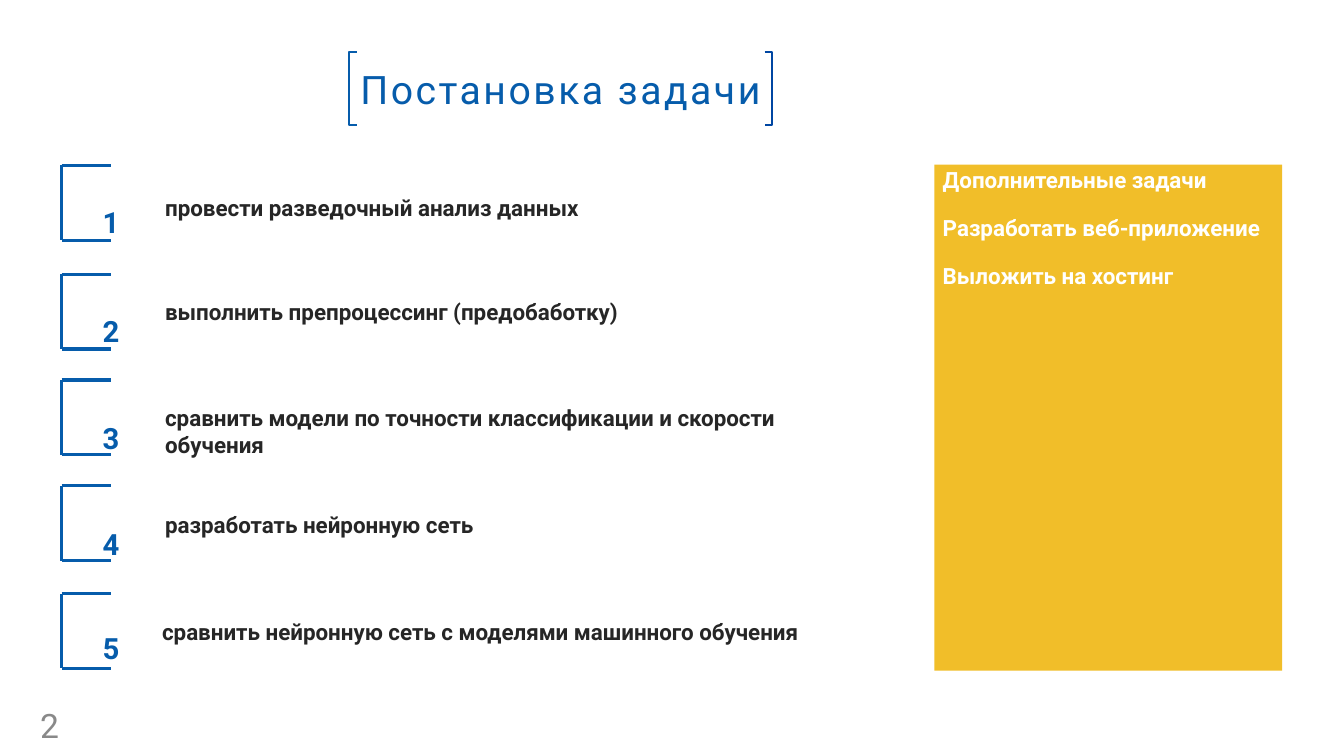
from lxml import etree
from pptx import Presentation
from pptx import util as u
from pptx.dml.color import RGBColor
from pptx.enum import shapes, text
from pptx.oxml import ns

Pt = u.Pt
BLUE = RGBColor(0x06, 0x5C, 0xAB)
NAVY = RGBColor(0x00, 0x46, 0xA2)
YELLOW = RGBColor(0xF1, 0xBE, 0x29)
DARK = RGBColor(0x26, 0x26, 0x26)
GRAY = RGBColor(0x89, 0x89, 0x89)
WHITE = RGBColor(0xFF, 0xFF, 0xFF)

TITLE = dict(size=Pt(28), color=BLUE)
NUMBER = dict(size=Pt(36), bold=True, color=BLUE)
TASK = dict(size=Pt(16), bold=True, color=DARK)
EXTRA = dict(size=Pt(16), bold=True, color=WHITE)
PAGE = dict(size=Pt(24), color=GRAY)

TASKS = [
    (118, 110.9, 17.3, 20.2, "провести разведочный анализ данных"),
    (195.8, 110.9, 13.7, 20.2, "выполнить препроцессинг (предобаботку)"),
    (271.4, 110.9, 13.7, 20.9,
     "сравнить модели по точности классификации и скорости обучения"),
    (347, 110.9, 14.4, 20.9, "разработать нейронную сеть"),
    (424, 108.7, 13.8, 18.1,
     "сравнить нейронную сеть с моделями машинного обучения"),
]
EXTRAS = ["Дополнительные задачи", "Разработать веб-приложение",
          "Выложить на хостинг"]


def add_run(p, content, fmt):
    """Add a formatted run to a paragraph."""
    r = p.add_run()
    r.text = content
    r.font.name = "Roboto"
    for key, value in fmt.items():
        if key == "color":
            r.font.color.rgb = value
        else:
            setattr(r.font, key, value)
    return r


def add_label(s, x, y, w, h, content, fmt, anchor=text.MSO_ANCHOR.TOP):
    """Add a wrapping one-paragraph text box and return its run."""
    tf = s.shapes.add_textbox(Pt(x), Pt(y), Pt(w), Pt(h)).text_frame
    tf.word_wrap = True
    tf.vertical_anchor = anchor
    return add_run(tf.paragraphs[0], content, fmt)


def add_block(s, x, y, w, h, fill):
    """Add a plain filled rectangle."""
    sp = s.shapes.add_shape(shapes.MSO_SHAPE.RECTANGLE,
                            Pt(x), Pt(y), Pt(w), Pt(h))
    sp.shadow.inherit = False
    sp.fill.solid()
    sp.fill.fore_color.rgb = fill
    sp.line.fill.background()
    sp.text_frame.word_wrap = True
    return sp


def add_line(s, x1, y1, x2, y2):
    """Add a blue straight line."""
    c = s.shapes.add_connector(shapes.MSO_CONNECTOR.STRAIGHT,
                               Pt(x1), Pt(y1), Pt(x2), Pt(y2))
    c.line.color.rgb = BLUE
    c.line.width = Pt(2.25)
    etree.SubElement(c._element.spPr, ns.qn("a:effectLst"))


def add_bracket(s, edge, tip, y, h, color):
    """Add an open square bracket between two heights."""
    fb = s.shapes.build_freeform(Pt(tip), Pt(y))
    fb.add_line_segments([(Pt(edge), Pt(y)), (Pt(edge), Pt(y + h)),
                          (Pt(tip), Pt(y + h))], close=False)
    sp = fb.convert_to_shape()
    sp.shadow.inherit = False
    sp.fill.background()
    sp.line.color.rgb = color
    sp.line.width = Pt(1.3)


def add_title(s, x, y, w, h):
    """Place the title between two brackets."""
    sp = add_block(s, x, y, w, h, WHITE)
    sp.line.color.rgb = WHITE
    sp.line.width = Pt(2)
    tf = sp.text_frame
    for side in ("left", "top", "right", "bottom"):
        setattr(tf, "margin_" + side, 0)
    tf.vertical_anchor = text.MSO_ANCHOR.MIDDLE
    p = tf.paragraphs[0]
    p.alignment = text.PP_ALIGN.CENTER
    rPr = add_run(p, "Постановка задачи", TITLE)._r.get_or_add_rPr()
    rPr.set("spc", "180")
    ln = etree.Element(ns.qn("a:ln"), w=str(Pt(0.75)))
    fill = etree.SubElement(ln, ns.qn("a:solidFill"))
    etree.SubElement(fill, ns.qn("a:srgbClr"), val=str(BLUE))
    rPr.insert(0, ln)
    add_bracket(s, x, x + 5.4, y, h, BLUE)
    add_bracket(s, x + w, x + w - 5.4, y, h, NAVY)


def add_task(s, x, y, number, task_x, task_dy, number_dy, task):
    """Place one numbered task with its half frame."""
    w, h = 35.5, 53.5
    add_line(s, x, y, x, y + h)
    for edge in (y, y + h):
        add_line(s, x, edge, x + w, edge)
    add_label(s, task_x, y + task_dy, 489.6, 27, task, TASK)
    r = add_label(s, x + 22.3, y + number_dy, 85, 36, str(number), NUMBER)
    r._r.get_or_add_rPr().set("baseline", "30000")


def add_extras(s, x, y, w, h):
    """Place the panel of additional tasks."""
    tf = add_block(s, x, y, w, h, YELLOW).text_frame
    tf.vertical_anchor = text.MSO_ANCHOR.TOP
    margins = dict(left=6, right=6, top=3, bottom=3)
    for side, value in margins.items():
        setattr(tf, "margin_" + side, Pt(value))
    for i, item in enumerate(EXTRAS):
        p = tf.add_paragraph() if i else tf.paragraphs[0]
        p.alignment = text.PP_ALIGN.LEFT if i else text.PP_ALIGN.JUSTIFY
        p.line_spacing = 0.9
        p.space_before = Pt(17 if i else 0)
        add_run(p, item, EXTRA)


def main():
    """Build the slide and save it."""
    prs = Presentation()
    prs.slide_width, prs.slide_height = Pt(960), Pt(540)
    s = prs.slides.add_slide(prs.slide_layouts[6])
    add_title(s, 249.5, 37, 302, 52.5)
    add_extras(s, 667.4, 117.6, 248.4, 361.4)
    for number, (y, task_x, task_dy, number_dy, task) in enumerate(TASKS, 1):
        add_task(s, 44, y, number, task_x, task_dy, number_dy, task)
    add_label(s, 21.6, 506.9, 44.6, 21.6, "2", PAGE, text.MSO_ANCHOR.MIDDLE)
    prs.save("out.pptx")


if __name__ == "__main__":
    main()
